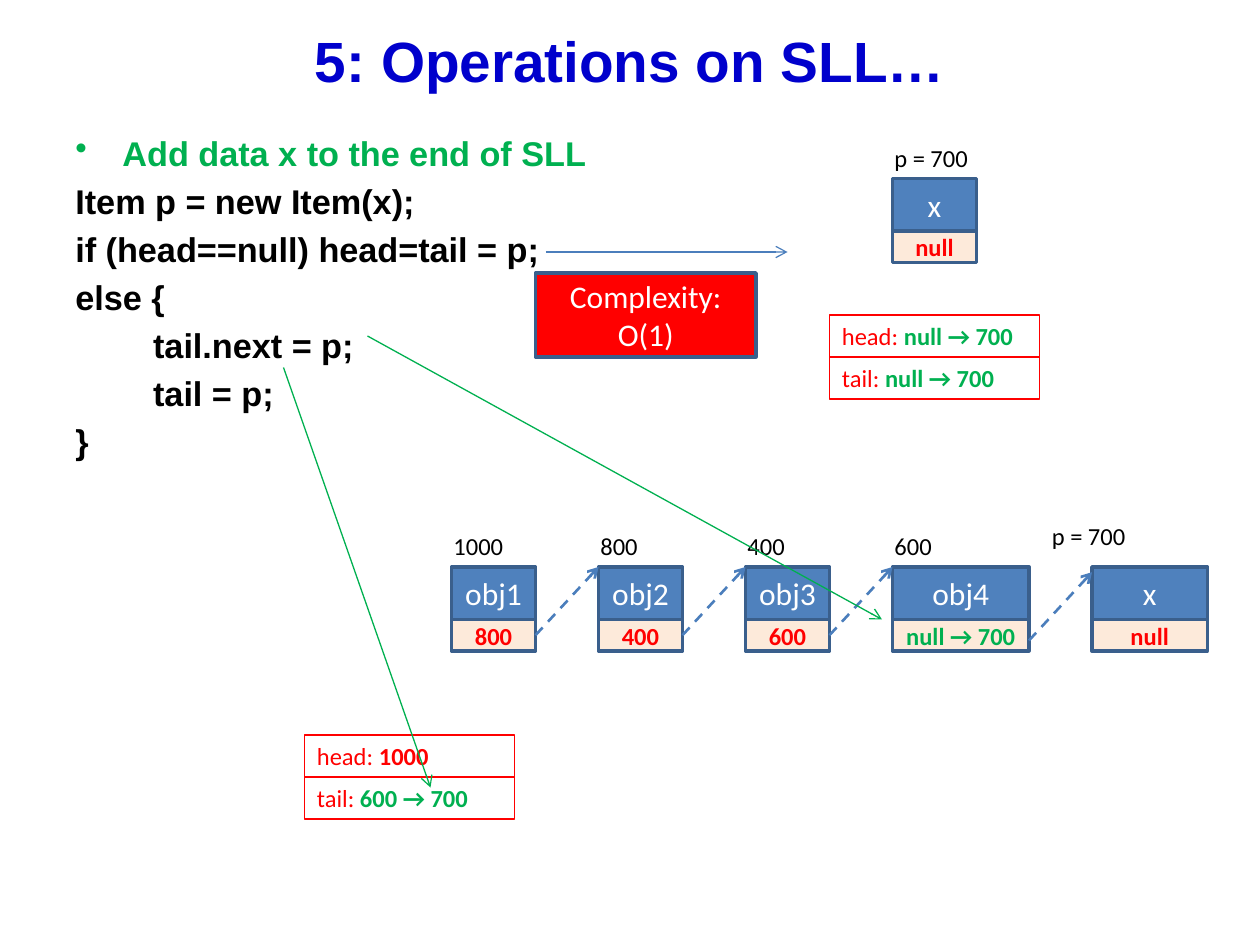
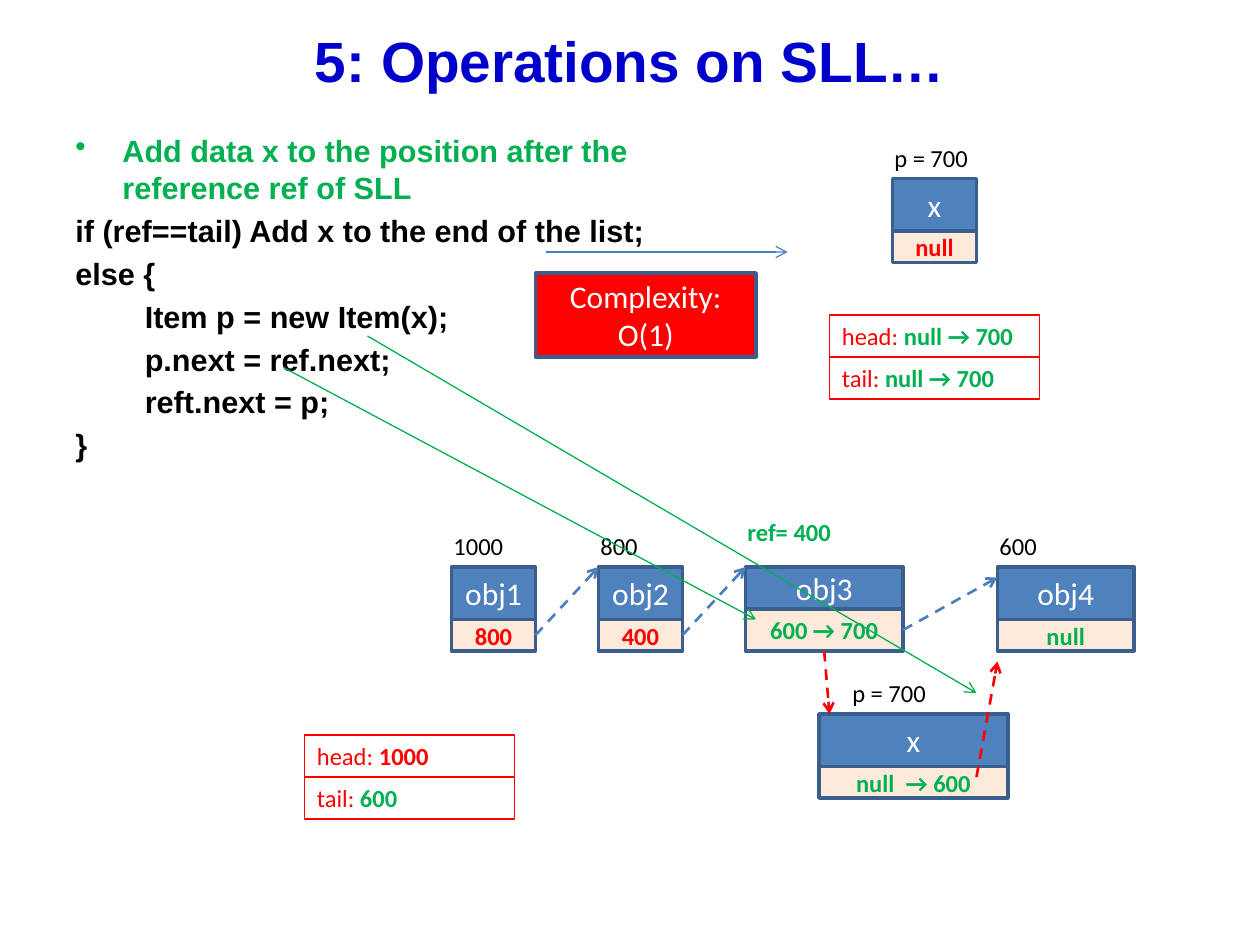
"""Build two slides on adding items to a singly linked list."""
from lxml import etree
from pptx import Presentation, util as u
from pptx.dml.color import RGBColor
from pptx.enum import dml, shapes, text
from pptx.oxml.ns import qn

COLORS = {
    "title": "0000CC", "green": "00B050", "red": "FF0000", "black": "000000",
    "white": "FFFFFF", "node": "4F81BD", "pointer": "FDEADA",
    "border": "3A5F8C", "link": "4B7EBC",
}
STEP = 2.54 / 12


def add_box(slide, bounds, paragraphs, size, font="Calibri", fill=None, line=None, width=2, centered=False):
    """Add text runs of (text, colour, bold) in a box measured in grid steps."""
    place = [u.Cm(STEP * value) for value in bounds]
    if line:
        shape = slide.shapes.add_shape(shapes.MSO_SHAPE.RECTANGLE, *place)
        shape.shadow.inherit = False
        shape.line.color.rgb = RGBColor.from_string(COLORS[line])
        shape.line.width = u.Pt(width)
    else:
        shape = slide.shapes.add_textbox(*place)
    if fill:
        shape.fill.solid()
        shape.fill.fore_color.rgb = RGBColor.from_string(COLORS[fill])
    else:
        shape.fill.background()
    frame = shape.text_frame
    frame.word_wrap = True
    frame.vertical_anchor = text.MSO_ANCHOR.MIDDLE if centered else text.MSO_ANCHOR.TOP
    for index, runs in enumerate(paragraphs):
        paragraph = frame.add_paragraph() if index else frame.paragraphs[0]
        paragraph.alignment = text.PP_ALIGN.CENTER if centered else text.PP_ALIGN.LEFT
        paragraph.font.name = font
        paragraph.font.size = u.Pt(size)
        for words, color, bold in runs:
            run = paragraph.add_run()
            run.text = words
            run.font.bold = bold
            run.font.color.rgb = RGBColor.from_string(COLORS[color])
    return shape


def add_arrow(slide, points, color, dashed=False):
    """Add an arrow between two points measured in grid steps."""
    arrow = slide.shapes.add_connector(
        shapes.MSO_CONNECTOR.STRAIGHT, *[u.Cm(STEP * value) for value in points])
    arrow.line.color.rgb = RGBColor.from_string(COLORS[color])
    arrow.line.width = u.Pt(1.5 if dashed else 0.75)
    if dashed:
        arrow.line.dash_style = dml.MSO_LINE.DASH
    properties = arrow._element.spPr
    etree.SubElement(properties.find(qn("a:ln")), qn("a:tailEnd"), type="arrow")
    etree.SubElement(properties, qn("a:effectLst"))


shared_nodes = [
    (85, 17, 8, 5, 3, "x", "null", "red"),
    (43, 54, 8, 5, 3, "obj1", "800", "red"),
    (57, 54, 8, 5, 3, "obj2", "400", "red"),
]
shared_labels = [
    (84, 13.04, 12, "p = 700", "black"),
    (42, 50, 8, "1000", "black"),
    (56, 50, 8, "800", "black"),
]
shared_links = [(51, 60.5, 57, 54), (65, 60.5, 71, 54)]

slides = [
    {
        "size": 19.6,
        "heading": "Add data x to the end of SLL",
        "code": [(0, "Item p = new Item(x);"), (0, "if (head==null) head=tail = p;"),
                 (0, "else {"), (1, "tail.next = p;"), (1, "tail = p;"), (0, "}")],
        "nodes": [(71, 54, 8, 5, 3, "obj3", "600", "red"),
                  (85, 54, 13, 5, 3, "obj4", "null → 700", "green"),
                  (104, 54, 11, 5, 3, "x", "null", "red")],
        "labels": [(70, 50, 8, "400", "black"), (84, 50, 8, "600", "black"),
                   (99, 49, 12, "p = 700", "black")],
        "links": [(79, 60.5, 85, 54), (98, 61, 104, 54.5)],
        "new_links": [],
        "tail": "600 → 700",
        "steps": [(35, 32, 84, 59), (27, 35, 41, 75)],
    },
    {
        "size": 17.5,
        "heading": "Add data x to the position after the reference ref of SLL",
        "code": [(0, "if (ref==tail) Add x to the end of the list;"), (0, "else {"),
                 (1, "Item p = new Item(x);"), (1, "p.next = ref.next;"),
                 (1, "reft.next = p;"), (0, "}")],
        "nodes": [(71, 54, 15, 4, 4, "obj3", "600 → 700", "green"),
                  (95, 54, 13, 5, 3, "obj4", "null", "green"),
                  (78, 68, 18, 5, 3, "x", "null  → 600", "green")],
        "labels": [(70, 48.6, 11, "ref= 400", "green"), (94, 50, 8, "600", "black"),
                   (80, 64, 12, "p = 700", "black")],
        "links": [(86, 60, 95, 55)],
        "new_links": [(93, 74, 95, 63), (78.5, 62, 79, 68)],
        "tail": "600",
        "steps": [(35, 32, 93, 66), (27, 35, 72, 59)],
    },
]

presentation = Presentation()
presentation.slide_width = u.Cm(25.4)
presentation.slide_height = u.Cm(19.05)

for content in slides:
    slide = presentation.slides.add_slide(presentation.slide_layouts[6])
    add_box(slide, (6, 2, 108, 7.4), [[("5: Operations on SLL…", "title", True)]],
            32.4, "Arial", centered=True)

    size = content["size"]
    lines = [[(content["heading"], "green", True)]]
    lines += [[(words, "black", True)] for level, words in content["code"]]
    body = add_box(slide, (6, 12, 65, 29), lines, size, "Arial")
    for paragraph in body.text_frame.paragraphs:
        paragraph.line_spacing = u.Pt(round(size * 1.2, 1))
        paragraph.space_before = u.Pt(round(size * 0.2, 1))
    heading, *code = body.text_frame.paragraphs
    properties = heading._p.get_or_add_pPr()
    properties.set("marL", str(u.Cm(0.95)))
    properties.set("indent", str(-u.Cm(0.95)))
    bullet = etree.Element(qn("a:buChar"), char="•")
    properties.find(qn("a:defRPr")).addprevious(bullet)
    for paragraph, (level, words) in zip(code, content["code"]):
        paragraph._p.get_or_add_pPr().set("marL", str(u.Cm(level * size * 0.08)))

    states = [
        (79, 30, "head: ", "null → 700", "green"),
        (79, 34, "tail: ", "null → 700", "green"),
        (29, 70, "head: ", "1000", "red"),
        (29, 74, "tail: ", content["tail"], "green"),
    ]
    for left, top, name, value, color in states:
        add_box(slide, (left, top, 20, 4), [[(name, "red", False), (value, color, True)]],
                14, line="red", width=0.75)

    for left, top, width, upper, lower, name, value, color in shared_nodes + content["nodes"]:
        add_box(slide, (left, top, width, upper), [[(name, "white", False)]],
                18, fill="node", line="border", centered=True)
        add_box(slide, (left, top + upper, width, lower), [[(value, color, True)]],
                14, fill="pointer", line="border", centered=True)

    for left, top, width, words, color in shared_labels + content["labels"]:
        add_box(slide, (left, top, width, 4), [[(words, color, color == "green")]], 14)

    for points in shared_links + content["links"]:
        add_arrow(slide, points, "link", dashed=True)
    add_arrow(slide, (52, 24, 75, 24), "link")
    add_box(slide, (51, 26, 21, 8), [[("Complexity: O(1)", "white", False)]],
            18, fill="red", line="border", centered=True)
    for points in content["steps"]:
        add_arrow(slide, points, "green")
    for points in content["new_links"]:
        add_arrow(slide, points, "red", dashed=True)

presentation.save("out.pptx")
